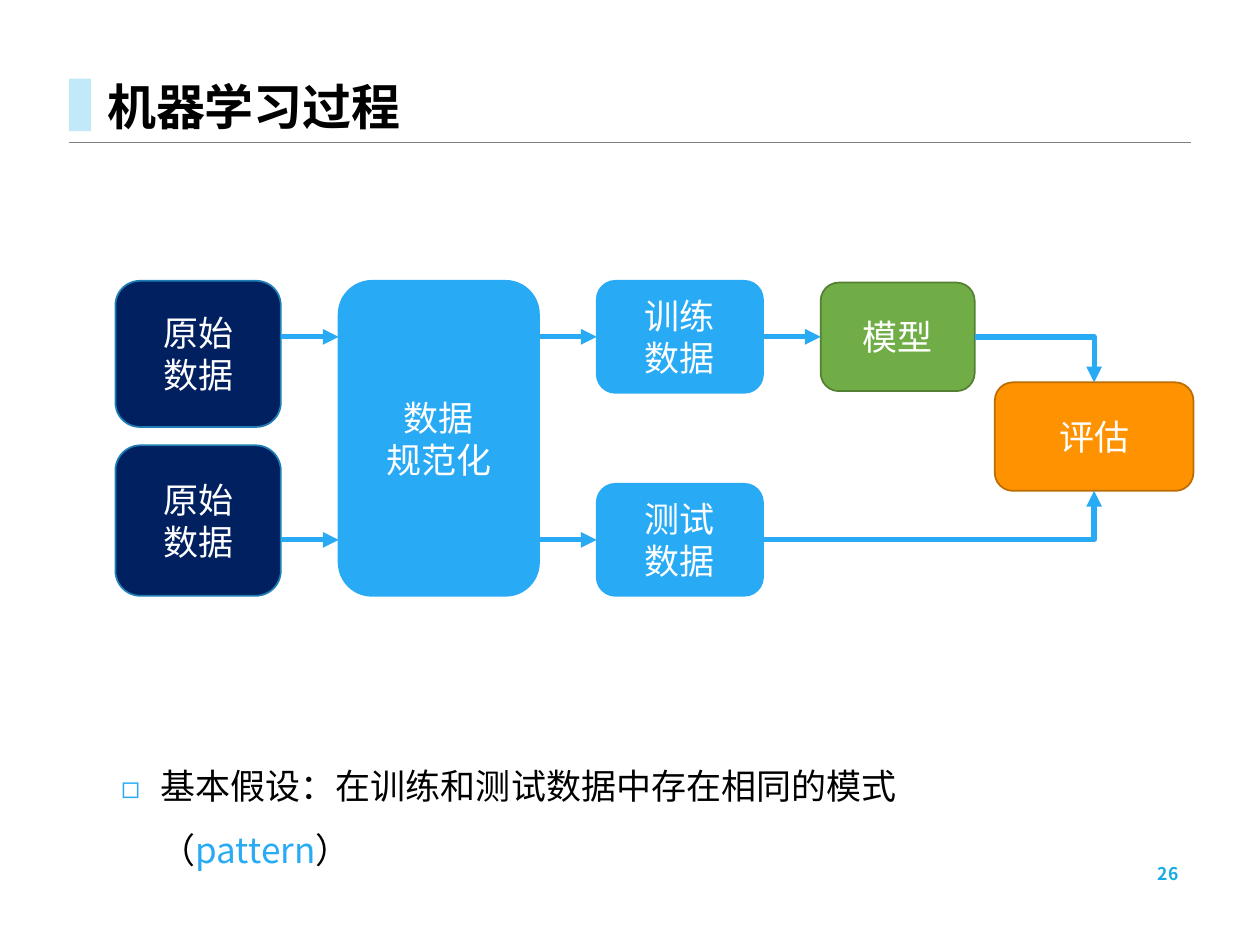
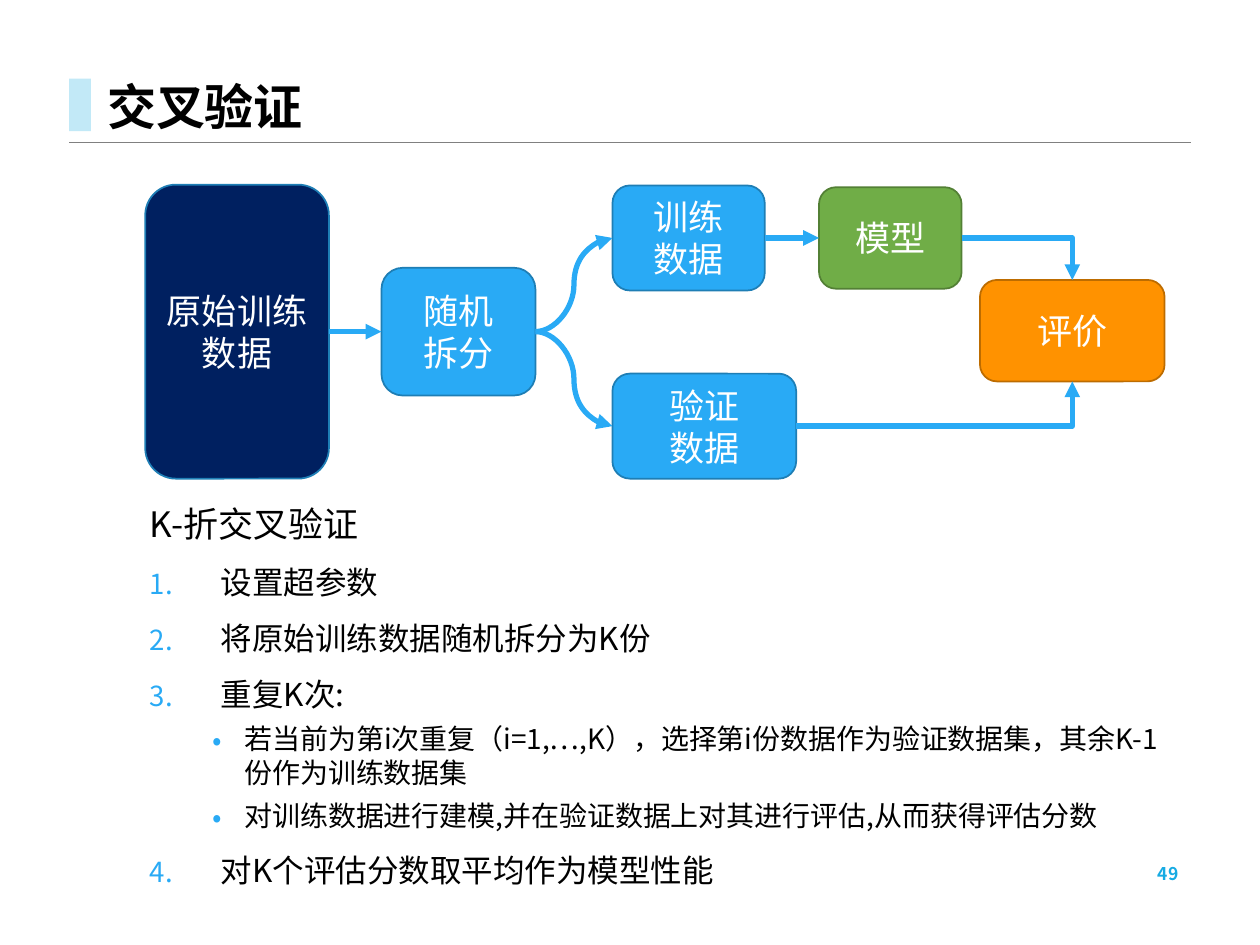
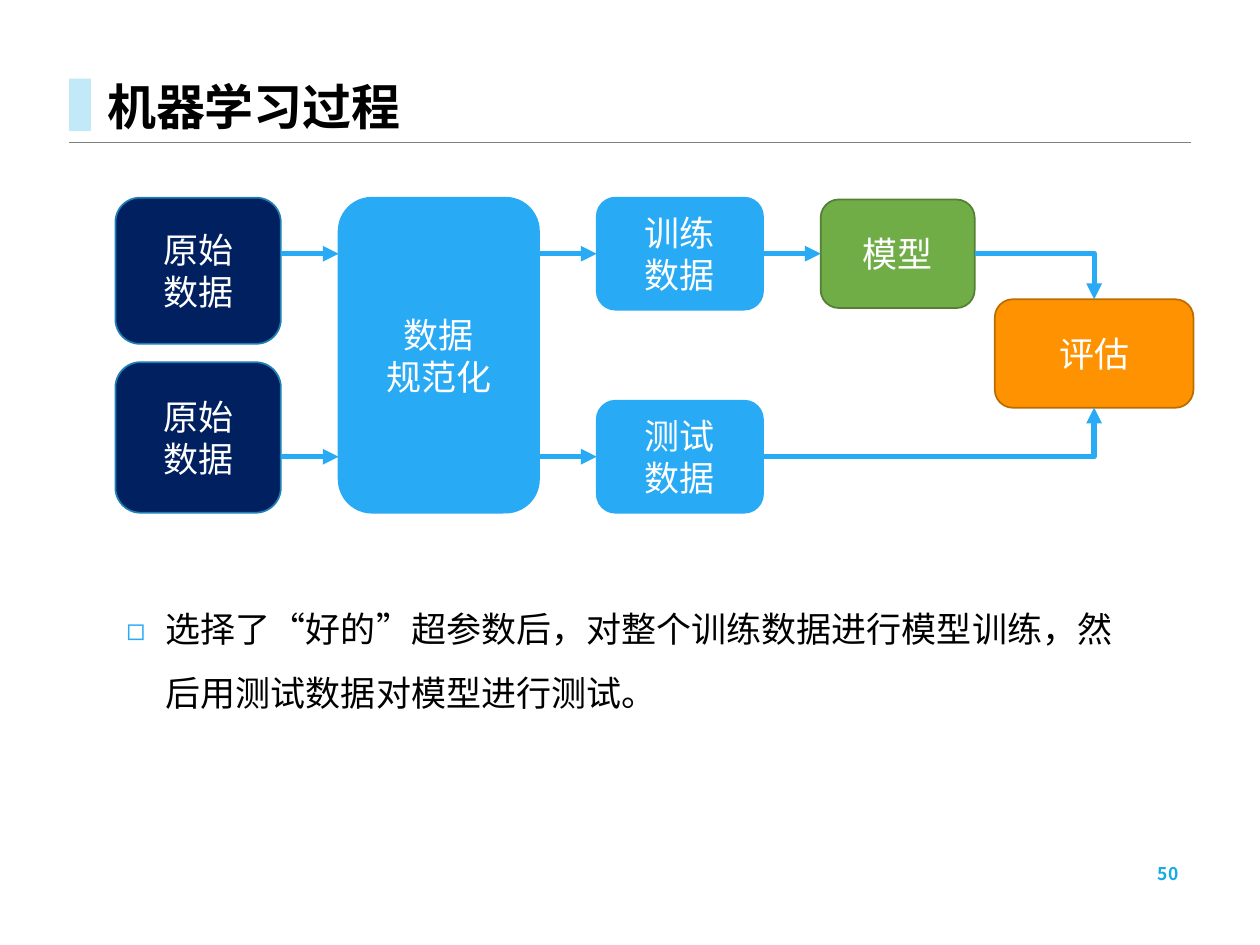
import pptx
import pptx.util
import pptx.dml.color
import pptx.enum.shapes
import pptx.enum.text
import pptx.oxml
import pptx.oxml.ns
from lxml import etree

Pt = pptx.util.Pt
RGB = pptx.dml.color.RGBColor
Shape = pptx.enum.shapes.MSO_SHAPE
Line = pptx.enum.shapes.MSO_CONNECTOR
Align = pptx.enum.text.PP_ALIGN
Anchor = pptx.enum.text.MSO_ANCHOR
qn = pptx.oxml.ns.qn

# Colours and fonts
BLACK = RGB(0x00, 0x00, 0x00)
WHITE = RGB(0xFF, 0xFF, 0xFF)
GRAY = RGB(0x80, 0x80, 0x80)
PALE = RGB(0xC2, 0xE9, 0xF7)
CYAN = RGB(0x17, 0xAB, 0xE3)
BLUE = RGB(0x29, 0xAA, 0xF5)
STEEL = RGB(0x1E, 0x7E, 0xB5)
NAVY = RGB(0x00, 0x20, 0x60)
GREEN = RGB(0x70, 0xAD, 0x47)
MOSS = RGB(0x53, 0x80, 0x35)
AMBER = RGB(0xFF, 0x92, 0x00)
BROWN = RGB(0xBD, 0x6C, 0x00)
NOTO = "Noto Sans CJK JP"
ARIAL = "Arial"

# Box: x, y below the flow's top, width, height, fill, edge, font, lines
PROCESS = {
    "raw1": (66, 0, 94.5, 83.5, NAVY, STEEL, ARIAL, ["原始", "数据"]),
    "raw2": (66, 94, 94.5, 86, NAVY, STEEL, ARIAL, ["原始", "数据"]),
    "norm": (193.5, 0, 114.5, 180, BLUE, BLUE, NOTO, ["数据", "规范化"]),
    "train": (341, 0, 95, 64, BLUE, BLUE, NOTO, ["训练", "数据"]),
    "test": (341, 116, 95, 64, BLUE, BLUE, NOTO, ["测试", "数据"]),
    "model": (469, 1, 88, 62, GREEN, MOSS, ARIAL, ["模型"]),
    "score": (568.5, 58, 113.5, 62, AMBER, BROWN, ARIAL, ["评估"]),
}
SPLIT = {
    "raw": (83, 0, 105, 168, NAVY, STEEL, NOTO, ["原始训练数据"]),
    "split": (218, 47.5, 88, 73, BLUE, STEEL, NOTO, ["随机", "拆分"]),
    "train": (350, 0.5, 87, 60, BLUE, STEEL, NOTO, ["训练", "数据"]),
    "check": (350, 108, 105, 60, BLUE, STEEL, NOTO, ["验证", "数据"]),
    "model": (468, 1.5, 81.5, 58, GREEN, MOSS, NOTO, ["模型"]),
    "score": (560, 54.5, 105.5, 58, AMBER, BROWN, NOTO, ["评价"]),
}

# Link: source (right side), target, kind, target side, row (None: middles)
TOP, LEFT, BOTTOM, RIGHT = range(4)
PLAIN, BENT, CURVE = Line.STRAIGHT, Line.ELBOW, Line.CURVE
PROCLINKS = [
    ("raw1", "norm", PLAIN, LEFT, 32),
    ("raw2", "norm", PLAIN, LEFT, 148),
    ("norm", "train", PLAIN, LEFT, 32),
    ("norm", "test", PLAIN, LEFT, 148),
    ("train", "model", PLAIN, LEFT, None),
    ("model", "score", BENT, TOP, None),
    ("test", "score", BENT, BOTTOM, None),
]
SPLITLINKS = [
    ("raw", "split", PLAIN, LEFT, None),
    ("split", "train", CURVE, LEFT, None),
    ("split", "check", CURVE, LEFT, None),
    ("train", "model", PLAIN, LEFT, None),
    ("model", "score", BENT, TOP, None),
    ("check", "score", BENT, BOTTOM, None),
]

# List style: level, size, line height, space before, indent, hang, bullet
HEAD = (0, 20, 24.5, 10, 0, 0, None)
NOTE = (0, 20, 36.5, 10, 22.5, 22.5, "◻")
STEP = (0, 18, 22, 10, 40.5, 40.5, "1.")
SUB = (1, 16, 19.5, 5, 54, 18, "•")

# Slide: title, number, flow top, boxes, links, list place, list
SLIDES = [
    ("机器学习过程", "26", 160.5, PROCESS, PROCLINKS, (62, 421, 540, 88), [
        (NOTE, [("基本假设：在训练和测试数据中存在相同的模式（", BLACK),
                ("pattern", BLUE), ("）", BLACK)]),
    ]),
    ("交叉验证", "49", 105.5, SPLIT, SPLITLINKS, (78.5, 283, 592, 244), [
        (HEAD, [("K-折交叉验证", BLACK)]),
        (STEP, [("设置超参数", BLACK)]),
        (STEP, [("将原始训练数据随机拆分为K份", BLACK)]),
        (STEP, [("重复K次:", BLACK)]),
        (SUB, [("若当前为第i次重复（i=1,…,K），选择第i份数据作为验证数据集，"
                "其余K-1份作为训练数据集", BLACK)]),
        (SUB, [("对训练数据进行建模,并在验证数据上对其进行评估,"
                "从而获得评估分数", BLACK)]),
        (STEP, [("对K个评估分数取平均作为模型性能", BLACK)]),
    ]),
    ("机器学习过程", "50", 113, PROCESS, PROCLINKS, (65, 331, 590, 88), [
        (NOTE, [("选择了“好的”超参数后，对整个训练数据进行模型训练，"
                 "然后用测试数据对模型进行测试。", BLACK)]),
    ]),
]


def write(par, text, size, color, font=NOTO, bold=False):
    run = par.add_run()
    run.text = text
    run.font.size = Pt(size)
    run.font.bold = bold
    run.font.color.rgb = color
    run.font.name = font
    east = etree.SubElement(run._r.get_or_add_rPr(), qn("a:ea"))
    east.set("typeface", NOTO)


def mark(par, indent, hang, sign):
    props = par._p.get_or_add_pPr()
    props.set("marL", str(Pt(indent)))
    props.set("indent", str(-Pt(hang)))
    if sign is None:
        etree.SubElement(props, qn("a:buNone"))
        return
    tint = etree.SubElement(props, qn("a:buClr"))
    etree.SubElement(tint, qn("a:srgbClr")).set("val", str(BLUE))
    if sign != "•":
        etree.SubElement(props, qn("a:buSzPct")).set("val", "88000")
    etree.SubElement(props, qn("a:buFont")).set("typeface", NOTO)
    if sign == "1.":
        etree.SubElement(props, qn("a:buAutoNum")).set("type", "arabicPeriod")
    else:
        etree.SubElement(props, qn("a:buChar")).set("char", sign)


prs = pptx.Presentation()
prs.slide_width, prs.slide_height = Pt(720), Pt(540)

for head, num, top, boxes, links, place, items in SLIDES:
    slide = prs.slides.add_slide(prs.slide_layouts[1])
    shapes = slide.shapes

    # Title rule and band
    rule = shapes.add_connector(PLAIN, Pt(39.5), Pt(81), Pt(680.5), Pt(81))
    rule.line.color.rgb = GRAY
    rule.line.width = Pt(0.25)
    etree.SubElement(rule._element.spPr, qn("a:effectLst"))
    band = shapes.add_shape(Shape.RECTANGLE, Pt(39.5), Pt(45), Pt(12.5), Pt(30))
    band.shadow.inherit = False
    band.fill.solid()
    band.fill.fore_color.rgb = PALE
    band.line.fill.background()

    # Title
    title = shapes.title
    title.left, title.top, title.width, title.height = Pt(54), Pt(0), Pt(641), Pt(81.5)
    frame = title.text_frame
    frame.auto_size = pptx.enum.text.MSO_AUTO_SIZE.NONE
    frame.vertical_anchor = Anchor.BOTTOM
    par = frame.paragraphs[0]
    par.alignment = Align.LEFT
    par.line_spacing = 0.9
    write(par, head, 28, BLACK, bold=True)

    # Slide number
    foot = shapes.add_textbox(Pt(508.5), Pt(491), Pt(172), Pt(16.5))
    frame = foot.text_frame
    frame.word_wrap = True
    frame.vertical_anchor = Anchor.MIDDLE
    par = frame.paragraphs[0]
    par.alignment = Align.RIGHT
    write(par, num, 10, CYAN, bold=True)

    # List
    body = slide.placeholders[1]
    body.left, body.top, body.width, body.height = [Pt(v) for v in place]
    frame = body.text_frame
    frame.auto_size = pptx.enum.text.MSO_AUTO_SIZE.NONE
    for i, (style, runs) in enumerate(items):
        level, size, pitch, gap, indent, hang, sign = style
        par = frame.add_paragraph() if i else frame.paragraphs[0]
        par.level = level
        mark(par, indent, hang, sign)
        par.line_spacing = Pt(pitch)
        par.space_before = Pt(gap if i else 0)
        for text, color in runs:
            write(par, text, size, color)

    # Flow boxes
    nodes = {}
    for name, (x, y, w, h, fill, edge, font, lines) in boxes.items():
        node = shapes.add_shape(Shape.ROUNDED_RECTANGLE,
                                Pt(x), Pt(top + y), Pt(w), Pt(h))
        node.shadow.inherit = False
        node.fill.solid()
        node.fill.fore_color.rgb = fill
        node.line.color.rgb = edge
        node.line.width = Pt(1)
        frame = node.text_frame
        frame.word_wrap = True
        frame.vertical_anchor = Anchor.MIDDLE
        for i, text in enumerate(lines):
            par = frame.add_paragraph() if i else frame.paragraphs[0]
            par.alignment = Align.CENTER
            par.line_spacing = Pt(24)
            write(par, text, 20, WHITE, font)
        nodes[name] = node

    # Flow arrows, joined wherever the row is the middle of a box
    for start, end, kind, side, row in links:
        x, y, w, h = boxes[start][:4]
        endx, endy, endw, endh = boxes[end][:4]
        level = top + (row or 0)
        link = shapes.add_connector(kind, Pt(x + w), Pt(level), Pt(endx), Pt(level))
        if row in (None, y + h / 2):
            link.begin_connect(nodes[start], RIGHT)
        if row in (None, endy + endh / 2):
            link.end_connect(nodes[end], side)
        if kind == BENT:
            link._element.spPr.find(qn("a:prstGeom")).set("prst", "bentConnector2")
        link.line.color.rgb = BLUE
        link.line.width = Pt(3)
        etree.SubElement(link.line._get_or_add_ln(), qn("a:tailEnd")).set("type", "triangle")
        etree.SubElement(link._element.spPr, qn("a:effectLst"))

prs.save("out.pptx")
